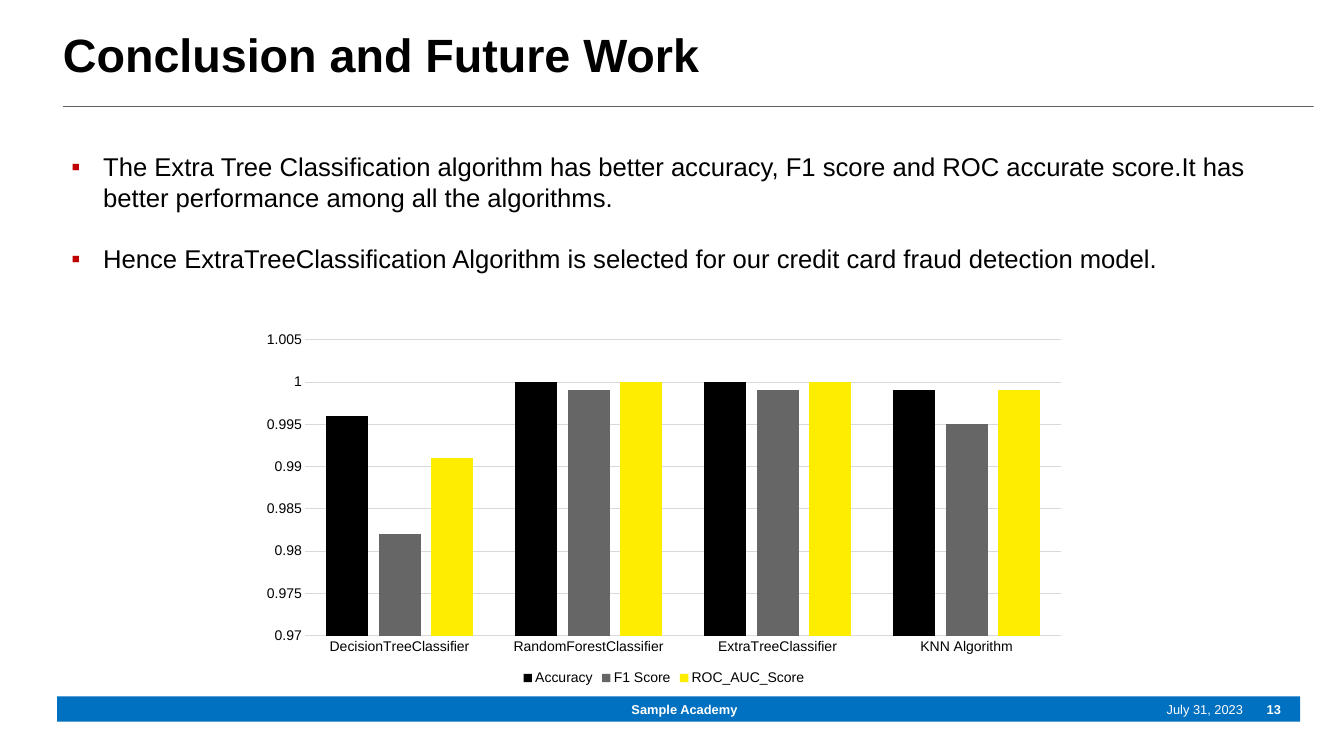
from lxml import etree
from pptx import Presentation
from pptx.chart.data import CategoryChartData
from pptx.dml.color import RGBColor
from pptx.enum.chart import XL_CHART_TYPE, XL_LEGEND_POSITION, XL_TICK_MARK
from pptx.enum.shapes import MSO_CONNECTOR, MSO_SHAPE
from pptx.enum.text import MSO_ANCHOR, PP_ALIGN
from pptx.oxml.ns import qn
from pptx.util import Inches, Pt

RECTANGLE = MSO_SHAPE.RECTANGLE
STRAIGHT = MSO_CONNECTOR.STRAIGHT
CLUSTERED = XL_CHART_TYPE.COLUMN_CLUSTERED
LEGEND_BOTTOM = XL_LEGEND_POSITION.BOTTOM
NO_TICKS = XL_TICK_MARK.NONE
TOP, MIDDLE = MSO_ANCHOR.TOP, MSO_ANCHOR.MIDDLE
LEFT, CENTER, RIGHT = PP_ALIGN.LEFT, PP_ALIGN.CENTER, PP_ALIGN.RIGHT

FONT = "Arial"
BLACK, WHITE, BLUE, RED, GRID = "000000", "FFFFFF", "0070C0", "C00000", "D9D9D9"
FOOTER_TOP, FOOTER_HEIGHT = 8.29, 0.3

FINDINGS = [
    "The Extra Tree Classification algorithm has better accuracy, F1 score and ROC "
    "accurate score.It has better performance among all the algorithms.",
    "Hence ExtraTreeClassification Algorithm is selected for our credit card fraud "
    "detection model.",
]
CLASSIFIERS = ["DecisionTreeClassifier", "RandomForestClassifier",
               "ExtraTreeClassifier", "KNN Algorithm"]
SCORES = [
    ("Accuracy", BLACK, (0.996, 1, 1, 0.999)),
    ("F1 Score", "666666", (0.982, 0.999, 0.999, 0.995)),
    ("ROC_AUC_Score", "FFED00", (0.991, 1, 1, 0.999)),
]


def color(value):
    return RGBColor.from_string(value)


def style_font(font, size, font_color=BLACK, bold=False):
    font.name = FONT
    font.size = Pt(size)
    font.bold = bold
    font.color.rgb = color(font_color)


def add_text(slide, box, text, size, font_color=BLACK, bold=False,
             align=LEFT, anchor=TOP, spacing=1.0):
    """Add a one-paragraph text box without insets."""
    shape = slide.shapes.add_textbox(*map(Inches, box))
    frame = shape.text_frame
    frame.word_wrap = True
    frame.vertical_anchor = anchor
    frame.margin_left = frame.margin_right = frame.margin_top = frame.margin_bottom = 0
    frame.text = text
    paragraph = frame.paragraphs[0]
    paragraph.alignment = align
    paragraph.line_spacing = spacing
    style_font(paragraph.runs[0].font, size, font_color, bold)


def add_rule(slide, left, right, top):
    """Add a thin, slightly transparent horizontal line."""
    rule = slide.shapes.add_connector(
        STRAIGHT, Inches(left), Inches(top), Inches(right), Inches(top))
    rule.line.color.rgb = color(BLACK)
    rule.line.width = Pt(0.5)
    properties = rule._element.spPr
    line_color = properties.find(".//" + qn("a:srgbClr"))
    etree.SubElement(line_color, qn("a:alpha"), val="95000")
    etree.SubElement(properties, qn("a:effectLst"))


def add_bullet(paragraph):
    properties = paragraph._p.get_or_add_pPr()
    properties.set("marL", str(Inches(0.38)))
    properties.set("indent", str(-Inches(0.38)))
    bullet_color = etree.SubElement(properties, qn("a:buClr"))
    etree.SubElement(bullet_color, qn("a:srgbClr"), val=RED)
    etree.SubElement(properties, qn("a:buFont"), typeface=FONT)
    etree.SubElement(properties, qn("a:buChar"), char="▪")


def add_bullet_list(slide, box, items, size, gap):
    shape = slide.shapes.add_textbox(*map(Inches, box))
    frame = shape.text_frame
    frame.word_wrap = True
    frame.text = "\n".join(items)
    for index, paragraph in enumerate(frame.paragraphs):
        if index:
            paragraph.space_before = Pt(gap)
        add_bullet(paragraph)
        style_font(paragraph.runs[0].font, size)


def style_line(line, line_color):
    line.color.rgb = color(line_color)
    line.width = Pt(0.75)


def add_score_chart(slide, box):
    data = CategoryChartData()
    data.categories = CLASSIFIERS
    for name, _, values in SCORES:
        data.add_series(name, values)
    chart = slide.shapes.add_chart(CLUSTERED, *map(Inches, box), data).chart
    style_font(chart.font, 12)
    chart.has_title = False
    chart.has_legend = True
    chart.legend.position = LEGEND_BOTTOM
    chart.legend.include_in_layout = False
    style_font(chart.legend.font, 12)

    plot = chart.plots[0]
    plot.vary_by_categories = False
    plot.gap_width = 100
    plot.overlap = -24
    for series, (_, fill, _) in zip(plot.series, SCORES):
        series.format.fill.solid()
        series.format.fill.fore_color.rgb = color(fill)

    for axis in (chart.category_axis, chart.value_axis):
        axis.major_tick_mark = axis.minor_tick_mark = NO_TICKS
        style_font(axis.tick_labels.font, 12)
    style_line(chart.category_axis.format.line, GRID)
    scale = chart.value_axis
    scale.minimum_scale, scale.maximum_scale, scale.major_unit = 0.97, 1.005, 0.005
    scale.format.line.fill.background()
    style_line(scale.major_gridlines.format.line, GRID)


def add_footer(slide):
    bar = slide.shapes.add_shape(
        RECTANGLE, *map(Inches, (0.68, FOOTER_TOP, 14.8, FOOTER_HEIGHT)))
    bar.shadow.inherit = False
    bar.fill.solid()
    bar.fill.fore_color.rgb = color(BLUE)
    bar.line.fill.background()
    for left, width, text, bold, align in (
        (13.01, 1.79, "July 31, 2023", False, RIGHT),
        (14.8, 0.45, "13", True, RIGHT),
        (5.4, 5.5, "Sample Academy", True, CENTER),
    ):
        add_text(slide, (left, FOOTER_TOP, width, FOOTER_HEIGHT), text, 11,
                 WHITE, bold, align, MIDDLE)


def main():
    presentation = Presentation()
    presentation.slide_width = Inches(16)
    presentation.slide_height = Inches(9)
    slide = presentation.slides.add_slide(presentation.slide_layouts[6])
    add_footer(slide)
    add_text(slide, (0.75, 0.41, 14.5, 1.55), "Conclusion and Future Work", 40,
             bold=True, spacing=0.85)
    add_rule(slide, 0.75, 15.64, 1.27)
    add_score_chart(slide, (2.98, 3.87, 9.85, 4.33))
    add_bullet_list(slide, (0.75, 1.75, 14.89, 1.58), FINDINGS, size=22, gap=26)
    presentation.save("out.pptx")


if __name__ == "__main__":
    main()
